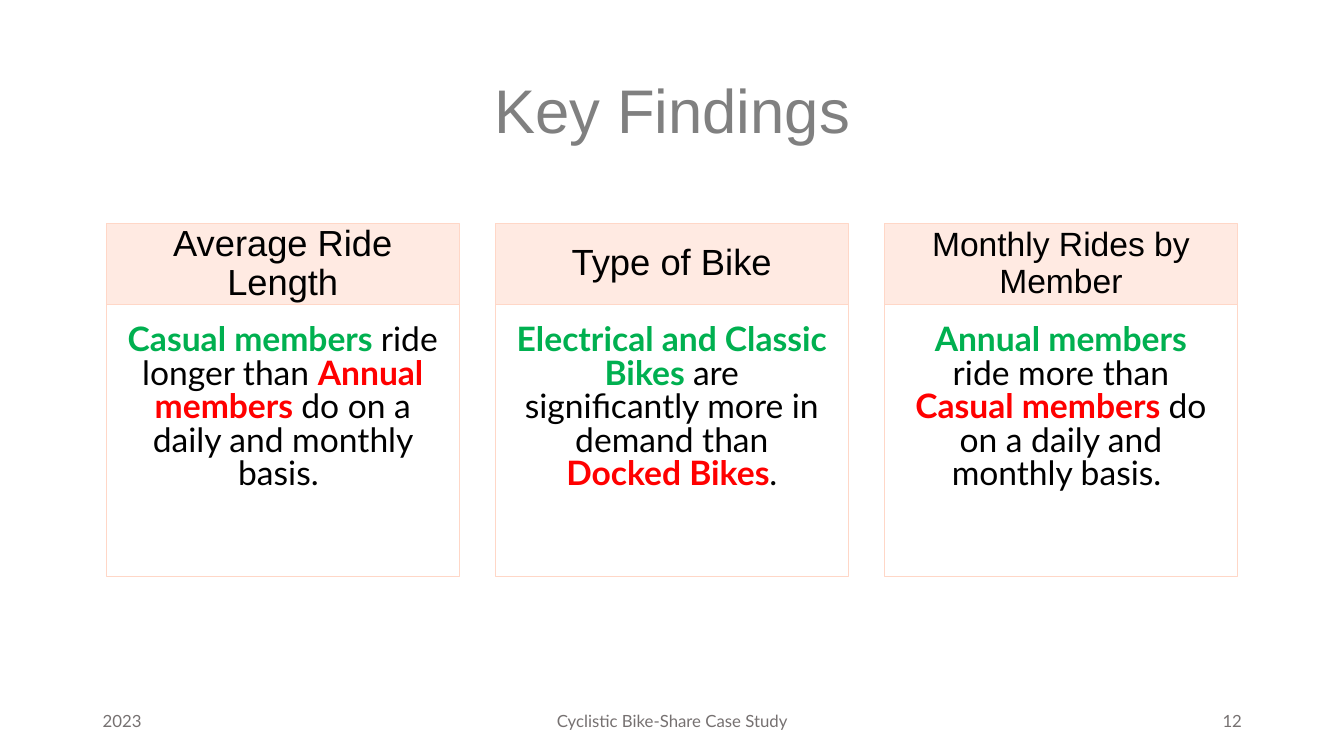
from dataclasses import dataclass
from typing import Any

from lxml.etree import SubElement
from pptx import Presentation
from pptx.dml.color import RGBColor
from pptx.enum.shapes import MSO_SHAPE as Preset
from pptx.enum.text import MSO_ANCHOR as Anchor, PP_ALIGN as Align
from pptx.oxml.ns import qn
from pptx.util import Pt

COLORS = {
    "title": "808080",
    "peach": "FFD7C7",
    "winner": "00B050",
    "loser": "FF0000",
    "text": "000000",
    "footer": "767171",
}
HEADING_FONT, BODY_FONT = "Arial", "Lato"

CARD_LEFT, CARD_PITCH, CARD_WIDTH = 76, 277.9, 252
HEADER_TOP, HEADER_HEIGHT = 159.84, 57.6
FINDING_HEIGHT = 194.4
FOOTER_TOP, FOOTER_HEIGHT = 500.4, 28.8


@dataclass(frozen=True)
class Span:
    text: str
    color: str = "text"
    bold: bool = False


@dataclass(frozen=True)
class Box:
    left: float
    top: float
    width: float
    height: float


@dataclass(frozen=True)
class Card:
    heading: str
    heading_size: float
    finding: tuple[Span, ...]


@dataclass(frozen=True)
class FooterItem:
    text: str
    left: float
    width: float
    align: Align


CARDS = (
    Card("Average Ride Length", 25.9, (
        Span("Casual members ", "winner", True),
        Span("ride longer than "),
        Span("Annual members ", "loser", True),
        Span("do on a daily and monthly basis. "),
    )),
    Card("Type of Bike", 26, (
        Span("Electrical and Classic Bikes ", "winner", True),
        Span("are significantly more in demand than "),
        Span("Docked Bikes", "loser", True),
        Span("."),
    )),
    Card("Monthly Rides by Member", 24, (
        Span("Annual members ", "winner", True),
        Span("ride more than "),
        Span("Casual members ", "loser", True),
        Span("do on a daily and monthly basis. "),
    )),
)
FOOTER = (
    FooterItem("2023", 66.24, 216, Align.LEFT),
    FooterItem("Cyclistic Bike-Share Case Study", 318.24, 324, Align.CENTER),
    FooterItem("12", 678.24, 216, Align.RIGHT),
)

TITLE_FRAME = {"vertical_anchor": Anchor.BOTTOM, "margin_bottom": Pt(7.2)}
MIDDLE_FRAME = {"vertical_anchor": Anchor.MIDDLE}
FINDING_FRAME = {
    "vertical_anchor": Anchor.TOP,
    "margin_left": Pt(14.4),
    "margin_top": Pt(14.4),
    "margin_right": Pt(14.4),
}
TITLE_PARA = {"alignment": Align.CENTER, "line_spacing": 0.9}
HEADING_PARA = TITLE_PARA | {"space_before": Pt(10)}
FINDING_PARA = {"alignment": Align.CENTER, "line_spacing": Pt(24)}


def apply_format(target: Any, values: dict[str, Any]) -> None:
    for name, value in values.items():
        setattr(target, name, value)


def hex_color(name: str) -> RGBColor:
    return RGBColor.from_string(COLORS[name])


def in_points(box: Box) -> tuple[Pt, ...]:
    return tuple(Pt(length) for length in (box.left, box.top, box.width, box.height))


def write_text(shape: Any, spans: tuple[Span, ...], font: str, size: float,
               frame_format: dict[str, Any], para_format: dict[str, Any]) -> None:
    frame = shape.text_frame
    apply_format(frame, {"word_wrap": True} | frame_format)
    para = frame.paragraphs[0]
    apply_format(para, para_format)
    for span in spans:
        run = para.add_run()
        run.text = span.text
        apply_format(run.font, {"name": font, "size": Pt(size), "bold": span.bold})
        run.font.color.rgb = hex_color(span.color)


def add_panel(page: Any, box: Box, tinted: bool) -> Any:
    """Add a peach-outlined rectangle, filled half transparent when tinted."""
    panel = page.shapes.add_shape(Preset.RECTANGLE, *in_points(box))
    panel.shadow.inherit = False
    panel.line.color.rgb = hex_color("peach")
    panel.line.width = Pt(0.75)
    if tinted:
        panel.fill.solid()
        panel.fill.fore_color.rgb = hex_color("peach")
        color = panel.fill._xPr.find(qn("a:solidFill"))[0]
        SubElement(color, qn("a:alpha"), val="50000")
    else:
        panel.fill.background()
    return panel


def add_card(page: Any, card: Card, left: float) -> None:
    header = add_panel(page, Box(left, HEADER_TOP, CARD_WIDTH, HEADER_HEIGHT), True)
    write_text(header, (Span(card.heading),), HEADING_FONT, card.heading_size,
               MIDDLE_FRAME, HEADING_PARA)
    finding_top = HEADER_TOP + HEADER_HEIGHT
    finding = add_panel(page, Box(left, finding_top, CARD_WIDTH, FINDING_HEIGHT), False)
    write_text(finding, card.finding, BODY_FONT, 24, FINDING_FRAME, FINDING_PARA)


def add_footer_item(page: Any, item: FooterItem) -> None:
    box = Box(item.left, FOOTER_TOP, item.width, FOOTER_HEIGHT)
    label = page.shapes.add_textbox(*in_points(box))
    write_text(label, (Span(item.text, "footer"),), BODY_FONT, 12,
               MIDDLE_FRAME, {"alignment": item.align})


def main() -> None:
    deck = Presentation()
    apply_format(deck, {"slide_width": Pt(960), "slide_height": Pt(540)})
    page = deck.slides.add_slide(deck.slide_layouts[6])

    title = page.shapes.add_textbox(*in_points(Box(66.24, 28.8, 828, 83.52)))
    write_text(title, (Span("Key Findings", "title"),), HEADING_FONT, 44,
               TITLE_FRAME, TITLE_PARA)
    for index, card in enumerate(CARDS):
        add_card(page, card, CARD_LEFT + index * CARD_PITCH)
    for item in FOOTER:
        add_footer_item(page, item)

    deck.save("out.pptx")


if __name__ == "__main__":
    main()
